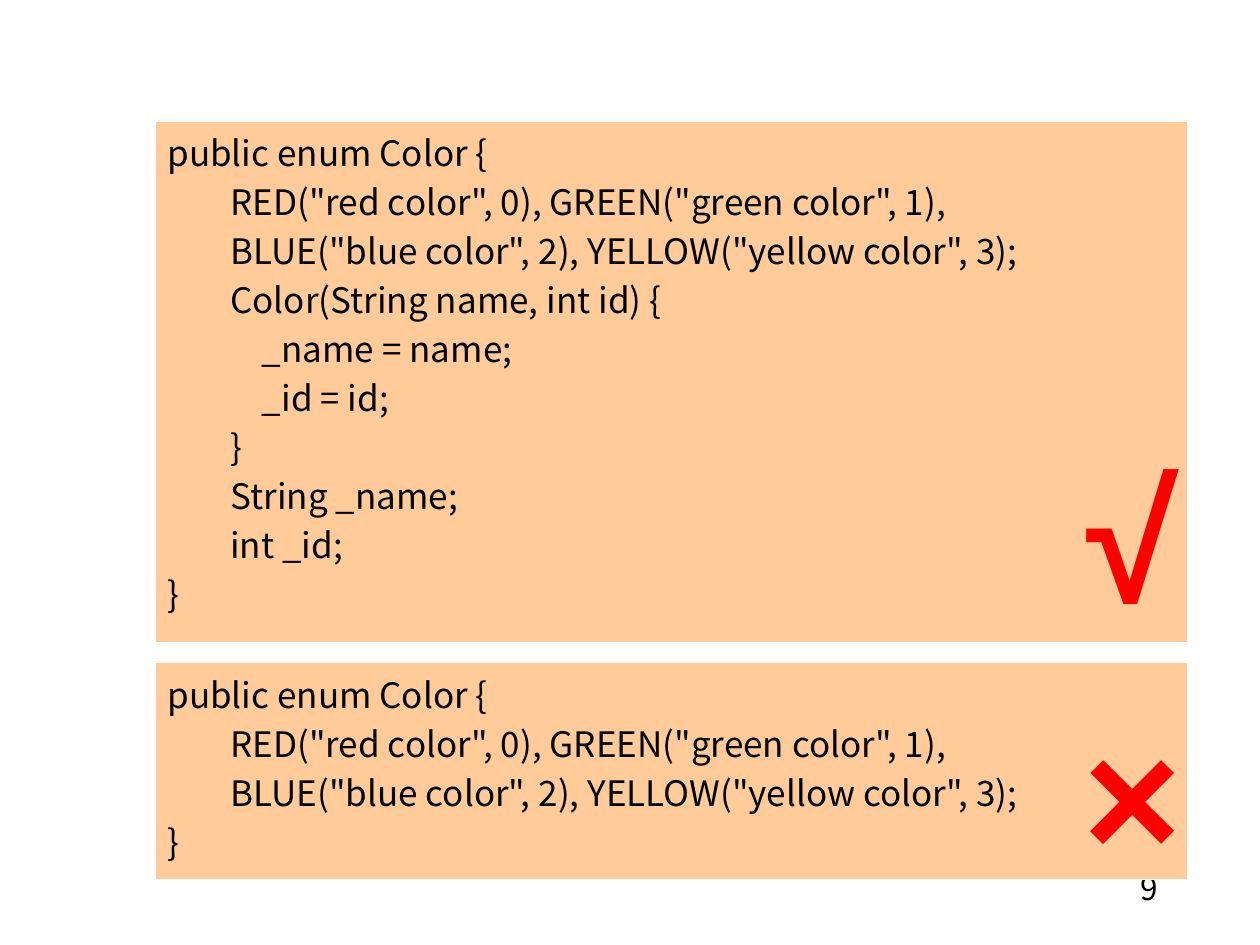
from dataclasses import dataclass

from pptx import Presentation
from pptx.dml.color import RGBColor
from pptx.enum.shapes import MSO_SHAPE
from pptx.enum.text import MSO_ANCHOR, PP_ALIGN
from pptx.util import Inches, Pt

RECTANGLE = MSO_SHAPE.RECTANGLE
TOP, MIDDLE = MSO_ANCHOR.TOP, MSO_ANCHOR.MIDDLE
LEFT, CENTER = PP_ALIGN.LEFT, PP_ALIGN.CENTER
BLANK_LAYOUT = 6


@dataclass(frozen=True)
class Theme:
    """Colours, fonts and sizes of the deck."""
    panel: RGBColor = RGBColor(0xFF, 0xCC, 0x99)
    edge: RGBColor = RGBColor(0xFF, 0xFF, 0xFF)
    ink: RGBColor = RGBColor(0, 0, 0)
    verdict: RGBColor = RGBColor(0xFF, 0, 0)
    code_font: str = "Noto Sans CJK SC"
    mark_font: str = "Arial"
    code_size: int = 20
    code_pitch: int = 28
    number_size: int = 18
    mark_size: int = 96
    indent: float = 0.25


THEME = Theme()
SLIDE_WIDTH, SLIDE_HEIGHT = 10, 7.5
PANEL_LEFT, PANEL_WIDTH = 0.123 * SLIDE_WIDTH, 0.82 * SLIDE_WIDTH
MARK_WIDTH, MARK_HEIGHT = 1.3, 1.72
MARK_OVERHANG = 0.21

CONSTANTS = [
    (2, 'RED("red color", 0), GREEN("green color", 1),'),
    (2, 'BLUE("blue color", 2), YELLOW("yellow color", 3);'),
]
MEMBERS = [
    (2, "Color(String name, int id) {"),
    (3, "_name = name;"),
    (3, "_id = id;"),
    (2, "}"),
    (2, "String _name;"),
    (2, "int _id;"),
]
OPENING, CLOSING = [(0, "public enum Color {")], [(0, "}")]

# top, height, code lines, mark, top of the mark
PANELS = [
    (0.96, 4.14, OPENING + CONSTANTS + MEMBERS + CLOSING, "√", 3.39),
    (5.26, 1.72, OPENING + CONSTANTS + CLOSING, "×", 5.42),
]


def set_all(target, values):
    """Set each named attribute of the target."""
    for name, value in values.items():
        setattr(target, name, value)


def write_lines(shape, lines, font, frame, layout):
    """Fill a shape with one paragraph for each (indent level, text) pair."""
    color = font.pop("color")
    set_all(shape.text_frame, frame)
    for number, (level, text) in enumerate(lines):
        paras = shape.text_frame
        para = paras.add_paragraph() if number else paras.paragraphs[0]
        set_all(para, layout)
        para._p.get_or_add_pPr().set("marL", str(Inches(level * THEME.indent)))
        span = para.add_run()
        span.text = text
        set_all(span.font, font)
        span.font.color.rgb = color


def add_code_panel(page, box, lines):
    """Draw a filled panel with code lines inside the box."""
    panel = page.shapes.add_shape(RECTANGLE, *map(Inches, box))
    panel.shadow.inherit = False
    panel.fill.solid()
    panel.fill.fore_color.rgb = THEME.panel
    panel.line.color.rgb = THEME.edge
    panel.line.width = Pt(0.75)
    write_lines(
        panel, lines,
        {"name": THEME.code_font, "size": Pt(THEME.code_size), "color": THEME.ink},
        {"word_wrap": False, "vertical_anchor": TOP, "margin_top": Inches(0.03)},
        {"alignment": LEFT, "line_spacing": Pt(THEME.code_pitch)},
    )


def add_mark(page, box, mark):
    """Place a large verdict mark in the middle of the box."""
    write_lines(
        page.shapes.add_textbox(*map(Inches, box)), [(0, mark)],
        {"name": THEME.mark_font, "size": Pt(THEME.mark_size), "bold": True,
         "color": THEME.verdict},
        {"word_wrap": False, "vertical_anchor": MIDDLE},
        {"alignment": CENTER},
    )


def add_page_number(page, box, number):
    """Write the page number, set in by four indent steps."""
    write_lines(
        page.shapes.add_textbox(*map(Inches, box)), [(4, str(number))],
        {"name": THEME.code_font, "size": Pt(THEME.number_size), "color": THEME.ink},
        {"word_wrap": True, "vertical_anchor": TOP},
        {"alignment": LEFT},
    )


def build_enum_slide(deck):
    """Add the slide that compares two enum declarations."""
    page = deck.slides.add_slide(deck.slide_layouts[BLANK_LAYOUT])
    add_page_number(page, (7.95, 6.85, 1.65, 0.4), 9)
    for top, height, lines, _, _ in PANELS:
        add_code_panel(page, (PANEL_LEFT, top, PANEL_WIDTH, height), lines)
    mark_left = PANEL_LEFT + PANEL_WIDTH + MARK_OVERHANG - MARK_WIDTH
    for _, _, _, mark, mark_top in PANELS:
        add_mark(page, (mark_left, mark_top, MARK_WIDTH, MARK_HEIGHT), mark)


deck = Presentation()
deck.slide_width, deck.slide_height = Inches(SLIDE_WIDTH), Inches(SLIDE_HEIGHT)
build_enum_slide(deck)
deck.save("out.pptx")
